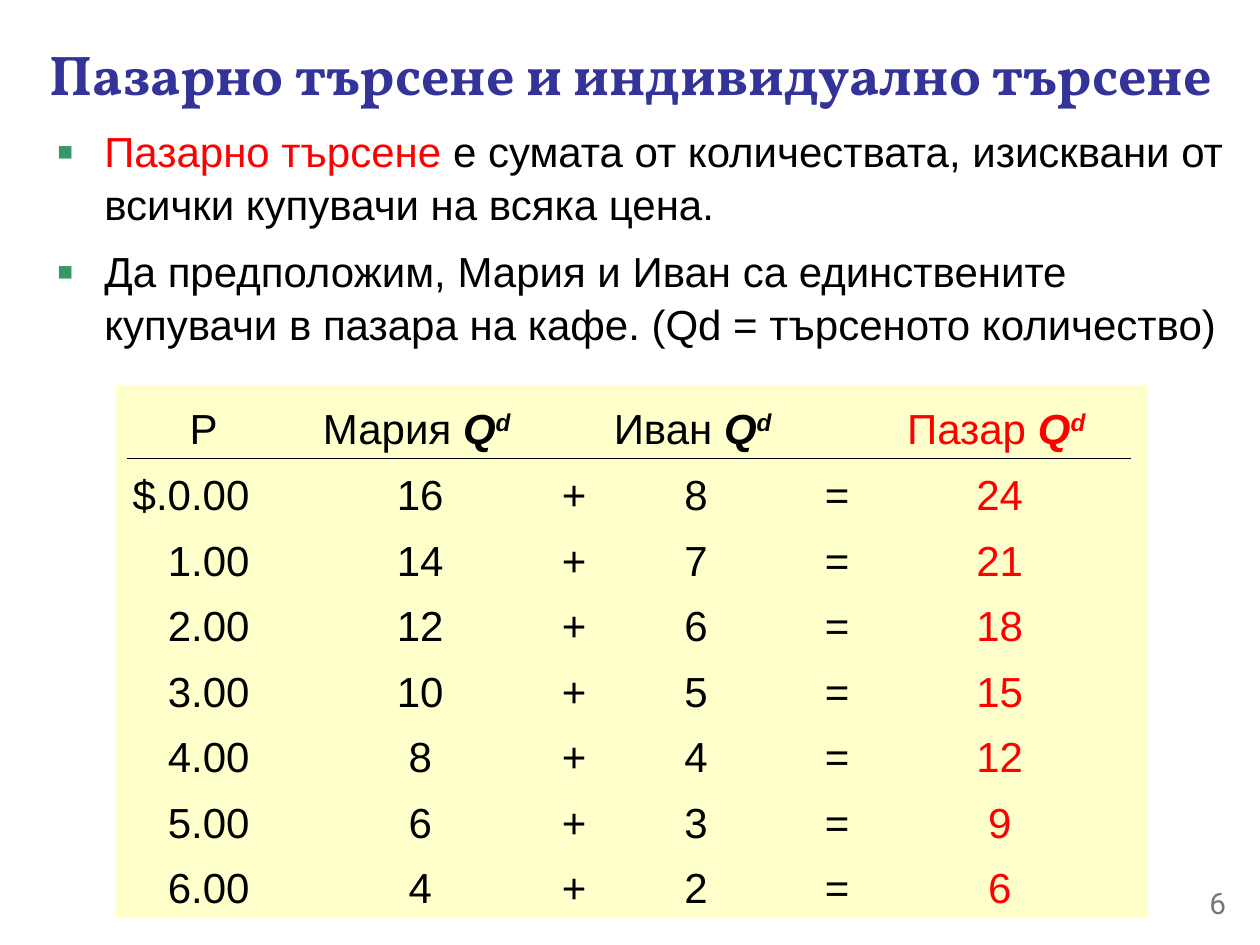
"""Build a slide that compares market demand with individual demand."""
from itertools import accumulate

from lxml import etree
from pptx import Presentation, util as u
from pptx.dml.color import RGBColor
from pptx.enum import shapes, text
from pptx.oxml import ns

THEME = {
    "title": {"name": "Vollkorn", "size": 32, "color": "333399", "bold": True},
    "body": {"name": "Arial", "size": 24, "color": "000000"},
    "key": {"name": "Arial", "size": 24, "color": "FF0000"},
    "number": {"name": "Roboto", "size": 17, "color": "777777"},
    "panel": "FFFFCC",
    "rule": "000000",
    "bullet": "339966",
}
PLAIN_TABLE = "{2D5ABB26-0587-4C30-8999-92F81FD0307C}"

TITLE = "Пазарно търсене и индивидуално търсене"
BULLETS = [
    [("Пазарно търсене ", "key"),
     ("е сумата от количествата, изисквани от всички купувачи на всяка цена.", "body")],
    [("Да предположим, Мария и Иван са единствените купувачи в пазара на кафе. "
      "(Qd = търсеното количество)", "body")],
]
HEADERS = ["P ", "Мария ", "", "Иван ", "", "Пазар "]
PRICES = ["$.0.00", "1.00", "2.00", "3.00", "4.00", "5.00", "6.00"]
MARIA = [16, 14, 12, 10, 8, 6, 4]
IVAN = [8, 7, 6, 5, 4, 3, 2]
PAGE = "6"

WIDTH, HEIGHT = 10, 7.5
COLUMNS = [1.3, 2.05, 0.29, 1.75, 0.49, 2.09]
ROWS = [0.54] + [0.52] * len(PRICES)
TABLE_LEFT, TABLE_TOP = 1.01, 3.1
PANEL_MARGIN = 0.09
PRICE_MARGIN, PLUS_MARGIN, CELL_TOP = 0.33, 0.1, 0.06
INDENT = 0.38
ALIGN = text.PP_ALIGN


def inches(*lengths):
    return [u.Inches(length) for length in lengths]


def set_all(target, values):
    for name, value in values.items():
        setattr(target, name, value)


def add_run(paragraph, words, style, baseline=None, **extra):
    run = paragraph.add_run()
    run.text = words
    values = {**THEME[style], **extra}
    run.font.color.rgb = RGBColor.from_string(values.pop("color"))
    values["size"] = u.Pt(values["size"])
    set_all(run.font, values)
    if baseline:
        run._r.get_or_add_rPr().set("baseline", str(baseline))


def add_text(slide, box, paragraphs, align=ALIGN.LEFT, anchor=text.MSO_ANCHOR.TOP):
    frame = slide.shapes.add_textbox(*inches(*box)).text_frame
    set_all(frame, {"word_wrap": True, "vertical_anchor": anchor})
    for index, runs in enumerate(paragraphs):
        paragraph = frame.paragraphs[0] if index == 0 else frame.add_paragraph()
        paragraph.alignment = align
        for words, style in runs:
            add_run(paragraph, words, style)
    return frame.paragraphs


def add_bullet(paragraph):
    properties = paragraph._p.get_or_add_pPr()
    properties.set("marL", str(u.Inches(INDENT)))
    properties.set("indent", str(-u.Inches(INDENT)))
    color = etree.SubElement(properties, ns.qn("a:buClr"))
    etree.SubElement(color, ns.qn("a:srgbClr"), val=THEME["bullet"])
    etree.SubElement(properties, ns.qn("a:buSzPct"), val="120000")
    etree.SubElement(properties, ns.qn("a:buFont"), typeface="Arial")
    etree.SubElement(properties, ns.qn("a:buChar"), char="▪")


def add_panel(slide):
    box = (TABLE_LEFT - PANEL_MARGIN, TABLE_TOP - 0.04, 8.19, 4.23)
    panel = slide.shapes.add_shape(shapes.MSO_SHAPE.RECTANGLE, *inches(*box))
    panel.shadow.inherit = False
    panel.fill.solid()
    panel.fill.fore_color.rgb = RGBColor.from_string(THEME["panel"])
    panel.line.fill.background()

    right = list(accumulate(COLUMNS, initial=TABLE_LEFT))[-1]
    level = TABLE_TOP + ROWS[0]
    rule = slide.shapes.add_connector(
        shapes.MSO_CONNECTOR.STRAIGHT, *inches(TABLE_LEFT, level, right, level))
    rule.line.color.rgb = RGBColor.from_string(THEME["rule"])
    rule.line.width = u.Pt(1)
    etree.SubElement(rule._element.spPr, ns.qn("a:effectLst"))


def add_demand_table(slide):
    records = [HEADERS] + [
        [price, maria, "+", ivan, "=", maria + ivan]
        for price, maria, ivan in zip(PRICES, MARIA, IVAN)]
    box = (TABLE_LEFT, TABLE_TOP, sum(COLUMNS), sum(ROWS))
    table = slide.shapes.add_table(len(ROWS), len(COLUMNS), *inches(*box)).table
    set_all(table, {"first_row": False, "horz_banding": False})
    table._tbl.tblPr[0].text = PLAIN_TABLE
    for column, width in zip(table.columns, COLUMNS):
        column.width = u.Inches(width)
    for row, height in zip(table.rows, ROWS):
        row.height = u.Inches(height)

    for row_index, record in enumerate(records):
        for column_index, value in enumerate(record):
            cell = table.cell(row_index, column_index)
            is_price = row_index > 0 and column_index == 0
            cell.fill.background()
            set_all(cell, {
                "vertical_anchor": text.MSO_ANCHOR.MIDDLE,
                "margin_left": u.Inches(PLUS_MARGIN if column_index == 2 else 0),
                "margin_right": u.Inches(PRICE_MARGIN if is_price else 0),
                "margin_top": u.Inches(CELL_TOP),
                "margin_bottom": 0,
            })
            paragraph = cell.text_frame.paragraphs[0]
            set_all(paragraph, {
                "alignment": ALIGN.RIGHT if is_price else ALIGN.CENTER,
                "line_spacing": 1.05,
            })
            style = "key" if column_index == len(COLUMNS) - 1 else "body"
            if value == "":
                paragraph.font.size = u.Pt(THEME[style]["size"])
                continue
            add_run(paragraph, str(value), style)
            if row_index == 0 and column_index > 0:
                add_run(paragraph, "Q", style, bold=True, italic=True)
                add_run(paragraph, "d ", style, 30000, bold=True, italic=True)


def main():
    presentation = Presentation()
    set_all(presentation, {"slide_width": u.Inches(WIDTH), "slide_height": u.Inches(HEIGHT)})
    slide = presentation.slides.add_slide(presentation.slide_layouts[6])
    add_panel(slide)
    add_text(slide, (0.09, 0.26, 9.84, 0.64), [[(TITLE, "title")]],
             ALIGN.CENTER, text.MSO_ANCHOR.MIDDLE)
    for index, paragraph in enumerate(add_text(slide, (0.35, 0.93, 9.47, 2.17), BULLETS)):
        add_bullet(paragraph)
        set_all(paragraph, {"line_spacing": 1.05, "space_before": u.Pt(8 if index else 0)})
    add_demand_table(slide)
    add_text(slide, (9.08, 6.97, 0.75, 0.4), [[(PAGE, "number")]], ALIGN.RIGHT)
    presentation.save("out.pptx")


if __name__ == "__main__":
    main()
